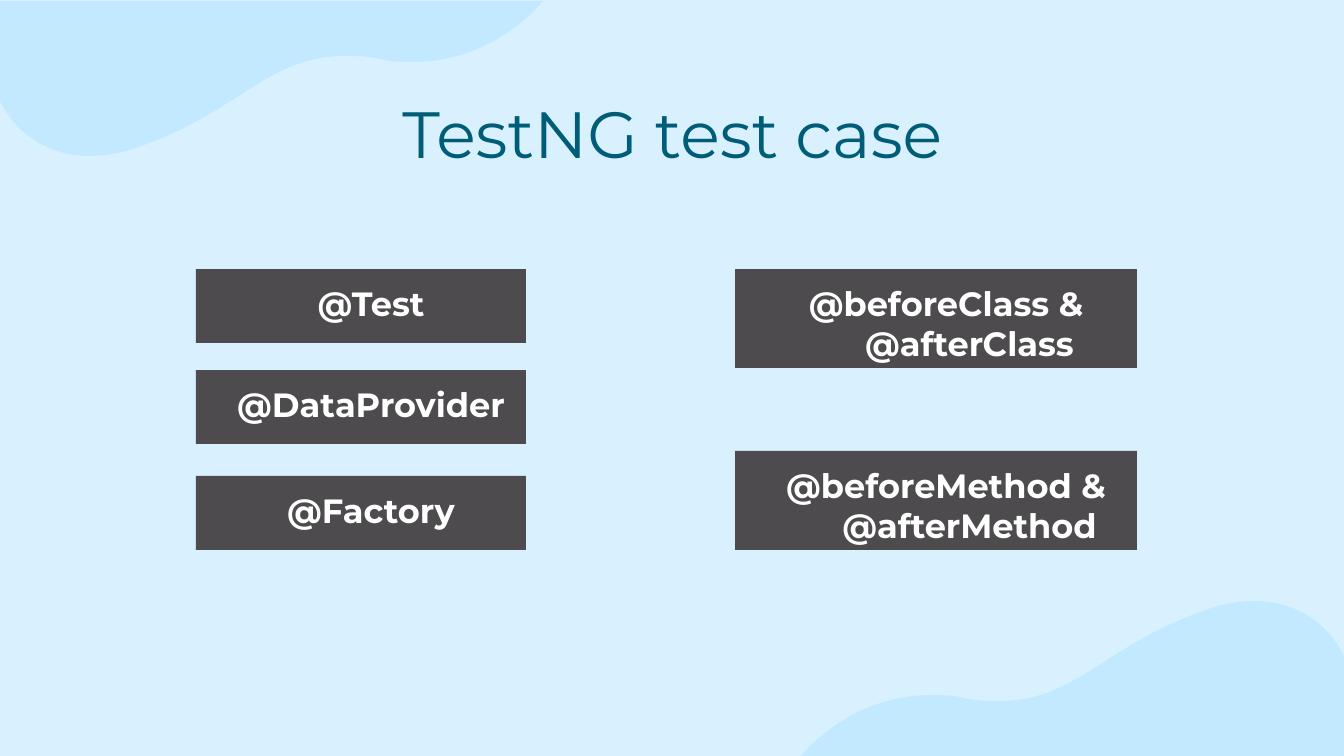
from pptx import Presentation
from pptx.dml.color import RGBColor
from pptx.enum.shapes import MSO_SHAPE
from pptx.enum.text import MSO_ANCHOR, MSO_AUTO_SIZE, PP_ALIGN
from pptx.oxml.ns import qn
from pptx.util import Inches, Pt
from lxml import etree

# Content
TITLE = "TestNG test case"
COLUMNS = [  # left, width, height, [(top, annotation)]
    (196, 330, 74, [(269, "@Test"), (370, "@DataProvider"), (476, "@Factory")]),
    (735, 402, 99, [(269, "@beforeClass & @afterClass"),
                    (451, "@beforeMethod & @afterMethod")]),
]

# Corner wave: corner, start point, then cubic curves (control, control, end)
WAVE_CORNER = (0, 1)
WAVE_START = (0, 101)
WAVE_CURVES = [
    ((0, 101), (23, 156), (90, 156)),
    ((105, 156), (124, 153), (144, 145)),
    ((241, 110), (269, 56), (345, 56)),
    ((356, 56), (367, 56), (380, 59)),
    ((391, 62), (402, 62), (413, 62)),
    ((496, 62), (543, 1), (543, 1)),
]

# Style
SLIDE_WIDTH, SLIDE_HEIGHT = 1344, 756
EMU_PER_PX = 914400 / 134.4
PADDING = Inches(0.1)
FONT = "Montserrat"
BACKGROUND, WAVE, CARD = "D9F1FF", "C2E9FF", "4D4B4D"
TITLE_COLOR, CARD_TEXT = "005D77", "FFFFFF"


def px(length):
    return round(length * EMU_PER_PX)


def paint(fill, color):
    fill.solid()
    fill.fore_color.rgb = RGBColor.from_string(color)


def write(shape, text, size, color, bold=False):
    frame = shape.text_frame
    frame.text = text
    frame.word_wrap = True
    frame.auto_size = MSO_AUTO_SIZE.NONE
    frame.vertical_anchor = MSO_ANCHOR.TOP
    frame.margin_left = frame.margin_right = PADDING
    frame.margin_top = frame.margin_bottom = PADDING
    paragraph = frame.paragraphs[0]
    paragraph.alignment = PP_ALIGN.CENTER
    font = paragraph.runs[0].font
    font.name, font.size, font.bold = FONT, Pt(size), bold
    font.color.rgb = RGBColor.from_string(color)
    return paragraph


def add_wave(slide):
    points = [WAVE_START] + [point for curve in WAVE_CURVES for point in curve]
    builder = slide.shapes.build_freeform(*map(px, WAVE_CORNER))
    builder.add_line_segments([(px(x), px(y)) for x, y in points], close=True)
    wave = builder.convert_to_shape()
    wave.shadow.inherit = False
    paint(wave.fill, WAVE)
    wave.line.fill.background()
    # Join every three segments after the start point into one cubic curve
    segments = list(wave._element.iter(qn("a:lnTo")))[1:]
    for first in range(0, len(WAVE_CURVES) * 3, 3):
        curve = etree.Element(qn("a:cubicBezTo"))
        segments[first].addprevious(curve)
        for segment in segments[first:first + 3]:
            curve.append(segment[0])
            segment.getparent().remove(segment)
    return wave


def add_card(slide, left, top, width, height, annotation):
    card = slide.shapes.add_shape(
        MSO_SHAPE.RECTANGLE, px(left), px(top), px(width), px(height))
    card.shadow.inherit = False
    paint(card.fill, CARD)
    card.line.fill.background()
    paragraph = write(card, annotation, 18, CARD_TEXT, bold=True)
    # Hanging indent
    properties = paragraph._p.get_or_add_pPr()
    properties.set("marL", str(px(67)))
    properties.set("indent", str(px(-47)))


def main():
    presentation = Presentation()
    presentation.slide_width = px(SLIDE_WIDTH)
    presentation.slide_height = px(SLIDE_HEIGHT)
    slide = presentation.slides.add_slide(presentation.slide_layouts[5])
    paint(slide.background.fill, BACKGROUND)

    # Waves in opposite corners, one turned by half a circle
    turned_wave = add_wave(slide)
    turned_wave.left = presentation.slide_width - turned_wave.width
    turned_wave.top = presentation.slide_height - turned_wave.height
    turned_wave.rotation = 180
    add_wave(slide)

    # Title
    title = slide.shapes.title
    title.left, title.top = px(106), px(80)
    title.width, title.height = px(1133), px(99)
    write(title, TITLE, 35, TITLE_COLOR)

    # Annotation cards
    for left, width, height, cards in COLUMNS:
        for top, annotation in cards:
            add_card(slide, left, top, width, height, annotation)

    presentation.save("out.pptx")


if __name__ == "__main__":
    main()
